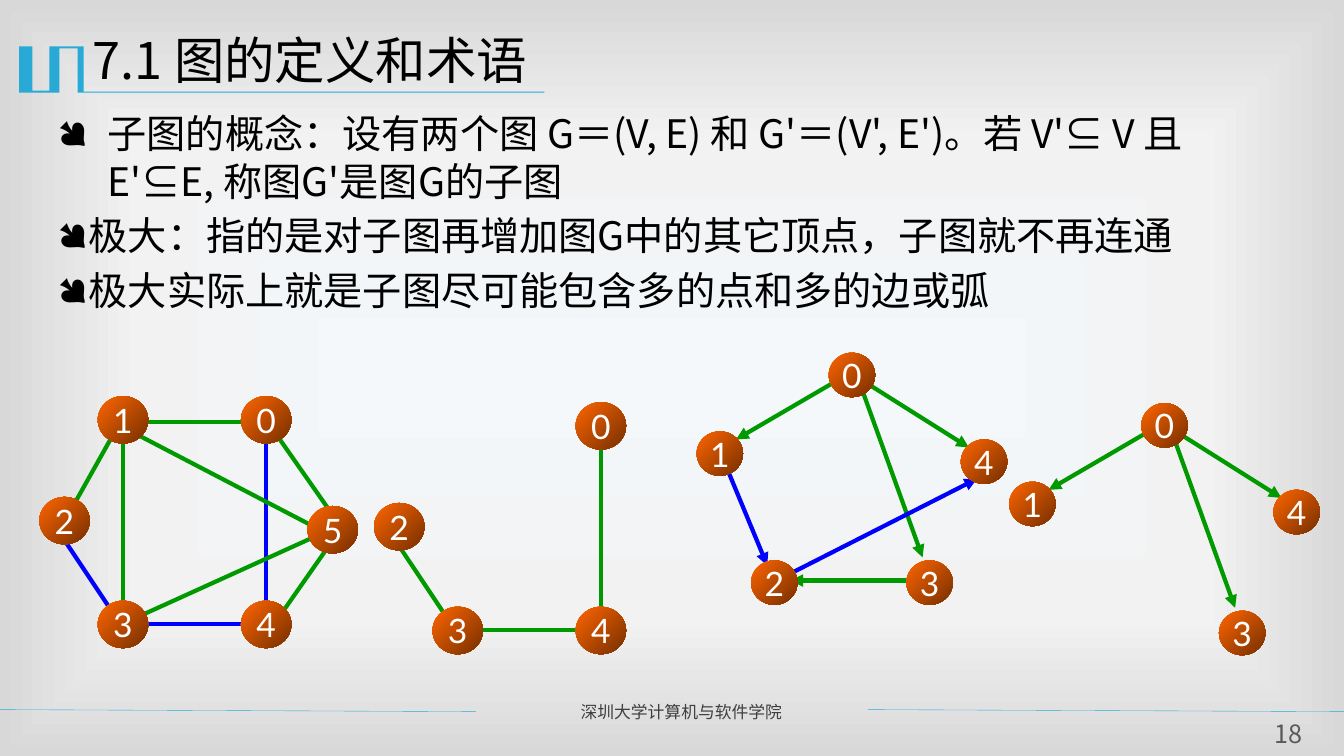
from pptx import Presentation
from pptx.dml.color import RGBColor
from pptx.enum.shapes import MSO_CONNECTOR, MSO_SHAPE
from pptx.enum.text import MSO_ANCHOR, PP_ALIGN
from pptx.oxml import parse_xml
from pptx.oxml.ns import nsdecls, qn
from pptx.util import Inches, Pt
from lxml.etree import SubElement

BLACK = RGBColor(0x00, 0x00, 0x00)
WHITE = RGBColor(0xFF, 0xFF, 0xFF)
DARK_GREY = RGBColor(0x3F, 0x3F, 0x3F)
GREY = RGBColor(0x59, 0x59, 0x59)
SKY = RGBColor(0x28, 0xA9, 0xD6)
GREEN = RGBColor(0x00, 0x99, 0x00)
BLUE = RGBColor(0x00, 0x00, 0xFF)
ORANGE = RGBColor(0xFF, 0x66, 0x00)
BROWN = RGBColor(0x76, 0x2F, 0x00)
BACKDROP = ((0, "F4F8FB"), (63, "F2F2F2"), (100, "D8D8D8"))
TEXT_FONT = "Noto Sans CJK SC"
NODE_FONT = "Lato"
BULLET_FONT = "Wingdings"

TITLE_EMBLEM = [
    (0.82, 0.46), (0.83, 0.46), (0.83, 0.91), (5.4, 0.91), (5.4, 0.92),
    (0.77, 0.92), (0.77, 0.48), (0.59, 0.48), (0.59, 0.92), (0.19, 0.92),
    (0.19, 0.46), (0.32, 0.46), (0.32, 0.9), (0.49, 0.9), (0.49, 0.46),
]

# (text, left margin, first-line indent)
DEFINITIONS = [
    ("子图的概念：设有两个图 G＝(V, E) 和 G'＝(V', E')。若 V'⊆ V 且 E'⊆E, 称图G'是图G的子图", 0.5, -0.5),
    ("极大：指的是对子图再增加图G中的其它顶点，子图就不再连通", 0, 0),
    ("极大实际上就是子图尽可能包含多的点和多的边或弧", 0, 0),
]

# Vertices map to the top left of their circle, edges to their two ends.
UNDIRECTED = {
    "size": (0.5, 0.47),
    "arrows": False,
    "vertices": {"1": (0.97, 3.93), "3": (0.97, 5.96), "2": (0.39, 4.93),
                 "5": (3.05, 5.02), "4": (2.39, 5.96), "0": (2.39, 3.93)},
    "edges": {"01": (2.47, 4.19, 1.47, 4.19), "04": (2.64, 4.36, 2.64, 6.03),
              "05": (2.72, 4.28, 3.3, 5.11), "12": (1.14, 4.28, 0.72, 5.03),
              "31": (1.22, 6.11, 1.22, 4.36), "51": (3.22, 5.28, 1.3, 4.28),
              "32": (1.14, 6.11, 0.64, 5.36), "43": (2.55, 6.19, 1.3, 6.19),
              "53": (3.22, 5.28, 1.39, 6.11), "54": (3.3, 5.36, 2.72, 6.19)},
}
DIRECTED = {
    "size": (0.46, 0.44),
    "arrows": True,
    "vertices": {"1": (6.91, 4.28), "3": (8.99, 5.56), "2": (7.45, 5.56),
                 "4": (9.53, 4.36), "0": (8.22, 3.5)},
    "edges": {"04": (8.61, 3.81, 9.61, 4.44), "12": (7.22, 4.67, 7.61, 5.61),
              "01": (8.38, 3.73, 7.3, 4.36), "03": (8.53, 3.81, 9.15, 5.53),
              "32": (8.99, 5.76, 7.84, 5.76), "24": (7.84, 5.69, 9.69, 4.75)},
}


class GraphSlide:
    def __init__(self, presentation):
        self.slide = presentation.slides.add_slide(presentation.slide_layouts[5])
        self.shapes = self.slide.shapes

    def background(self, stops):
        gradient = "".join(f'<a:gs pos="{position * 1000}"><a:srgbClr val="{color}"/></a:gs>'
                           for position, color in stops)
        self.slide.element.cSld.insert(0, parse_xml(
            f'<p:bg {nsdecls("p", "a")}><p:bgPr><a:gradFill><a:gsLst>{gradient}</a:gsLst>'
            '<a:path path="rect"><a:fillToRect l="50000" t="50000" r="50000" b="50000"/></a:path>'
            '</a:gradFill><a:effectLst/></p:bgPr></p:bg>'))

    def style(self, paragraph, size, color, font=TEXT_FONT, align=PP_ALIGN.LEFT):
        paragraph.alignment = align
        paragraph.font.size = Pt(size)
        paragraph.font.color.rgb = color
        paragraph.font.name = font
        for run in paragraph.runs:
            SubElement(run._r.get_or_add_rPr(), qn("a:ea"), typeface=font)

    def title(self, text, left, top, width, height):
        title = self.shapes.title
        title.left, title.top = Inches(left), Inches(top)
        title.width, title.height = Inches(width), Inches(height)
        title.text_frame.text = text
        title.text_frame.vertical_anchor = MSO_ANCHOR.TOP
        self.style(title.text_frame.paragraphs[0], 36, BLACK)

    def text(self, text, left, top, width, height, size, color, align=PP_ALIGN.LEFT, margin=0.1):
        frame = self.shapes.add_textbox(*map(Inches, (left, top, width, height))).text_frame
        frame.word_wrap = True
        frame.margin_left = frame.margin_right = Inches(margin)
        frame.margin_top = frame.margin_bottom = Inches(margin / 2)
        frame.text = text
        self.style(frame.paragraphs[0], size, color, align=align)

    def bullets(self, items, left, top, width, height):
        frame = self.shapes.add_textbox(*map(Inches, (left, top, width, height))).text_frame
        frame.word_wrap = True
        for index, (text, margin, indent) in enumerate(items):
            paragraph = frame.add_paragraph() if index else frame.paragraphs[0]
            paragraph.text = text
            properties = paragraph._p.get_or_add_pPr()
            properties.set("marL", str(Inches(margin)))
            properties.set("indent", str(Inches(indent)))
            SubElement(properties, qn("a:buFont"), typeface=BULLET_FONT, charset="2")
            SubElement(properties, qn("a:buChar"), char="●")
            if index:
                paragraph.space_before = Pt(5.6)
            self.style(paragraph, 28, BLACK)

    def outline(self, points, color):
        start, *rest = [(Inches(x), Inches(y)) for x, y in points]
        builder = self.shapes.build_freeform(*start)
        builder.add_line_segments(rest, close=True)
        emblem = builder.convert_to_shape()
        emblem.shadow.inherit = False
        emblem.fill.solid()
        emblem.fill.fore_color.rgb = color
        emblem.line.fill.background()

    def line(self, ends, color, weight, arrow=False):
        connector = self.shapes.add_connector(MSO_CONNECTOR.STRAIGHT, *map(Inches, ends))
        connector.line.color.rgb = color
        connector.line.width = Pt(weight)
        if arrow:
            SubElement(connector.line._get_or_add_ln(), qn("a:tailEnd"), type="triangle")
        SubElement(connector._element.spPr, qn("a:effectLst"))

    def vertex(self, label, left, top, size):
        circle = self.shapes.add_shape(MSO_SHAPE.OVAL, Inches(left), Inches(top), *map(Inches, size))
        circle.shadow.inherit = False
        circle.line.fill.background()
        circle.fill.gradient()
        circle.fill.gradient_angle = 315
        for stop, color in zip(circle.fill.gradient_stops, (ORANGE, BROWN)):
            stop.color.rgb = color
        frame = circle.text_frame
        frame.margin_left = frame.margin_right = 0
        frame.word_wrap = False
        frame.vertical_anchor = MSO_ANCHOR.MIDDLE
        frame.text = label
        self.style(frame.paragraphs[0], 24, WHITE, NODE_FONT, PP_ALIGN.CENTER)

    def graph(self, graph, vertices=None, edges=None, blue=(), dx=0, dy=0):
        """Draw the whole graph, or the chosen part of it moved by (dx, dy)."""
        for edge in edges or graph["edges"]:
            x1, y1, x2, y2 = graph["edges"][edge]
            self.line((x1 + dx, y1 + dy, x2 + dx, y2 + dy),
                      BLUE if edge in blue else GREEN, 3, graph["arrows"])
        for label in vertices or graph["vertices"]:
            left, top = graph["vertices"][label]
            self.vertex(label, left + dx, top + dy, graph["size"])


def main():
    presentation = Presentation()
    presentation.slide_width, presentation.slide_height = Inches(13.33), Inches(7.5)
    page = GraphSlide(presentation)
    page.background(BACKDROP)
    page.outline(TITLE_EMBLEM, SKY)
    for left, right in ((-0.01, 4.72), (8.61, 13.33)):
        page.line((left, 7.04, right, 7.06), SKY, 0.25)
    page.text("深圳大学计算机与软件学院", 5.66, 6.91, 2.85, 0.3, 12, DARK_GREY)
    page.bullets(DEFINITIONS, 0.47, 1.04, 12.13, 5.63)
    page.title("7.1 图的定义和术语", 0.82, 0.24, 12, 0.87)
    page.text("18", 12.48, 7.13, 0.59, 0.31, 18, GREY, PP_ALIGN.CENTER, margin=0)
    page.graph(UNDIRECTED, blue=("04", "32", "43"))
    page.graph(UNDIRECTED, "3240", ("04", "32", "43"), dx=3.32, dy=0.06)
    page.graph(DIRECTED, blue=("12", "24"))
    page.graph(DIRECTED, "1340", ("04", "01", "03"), dx=3.1, dy=0.5)
    presentation.save("out.pptx")


if __name__ == "__main__":
    main()
